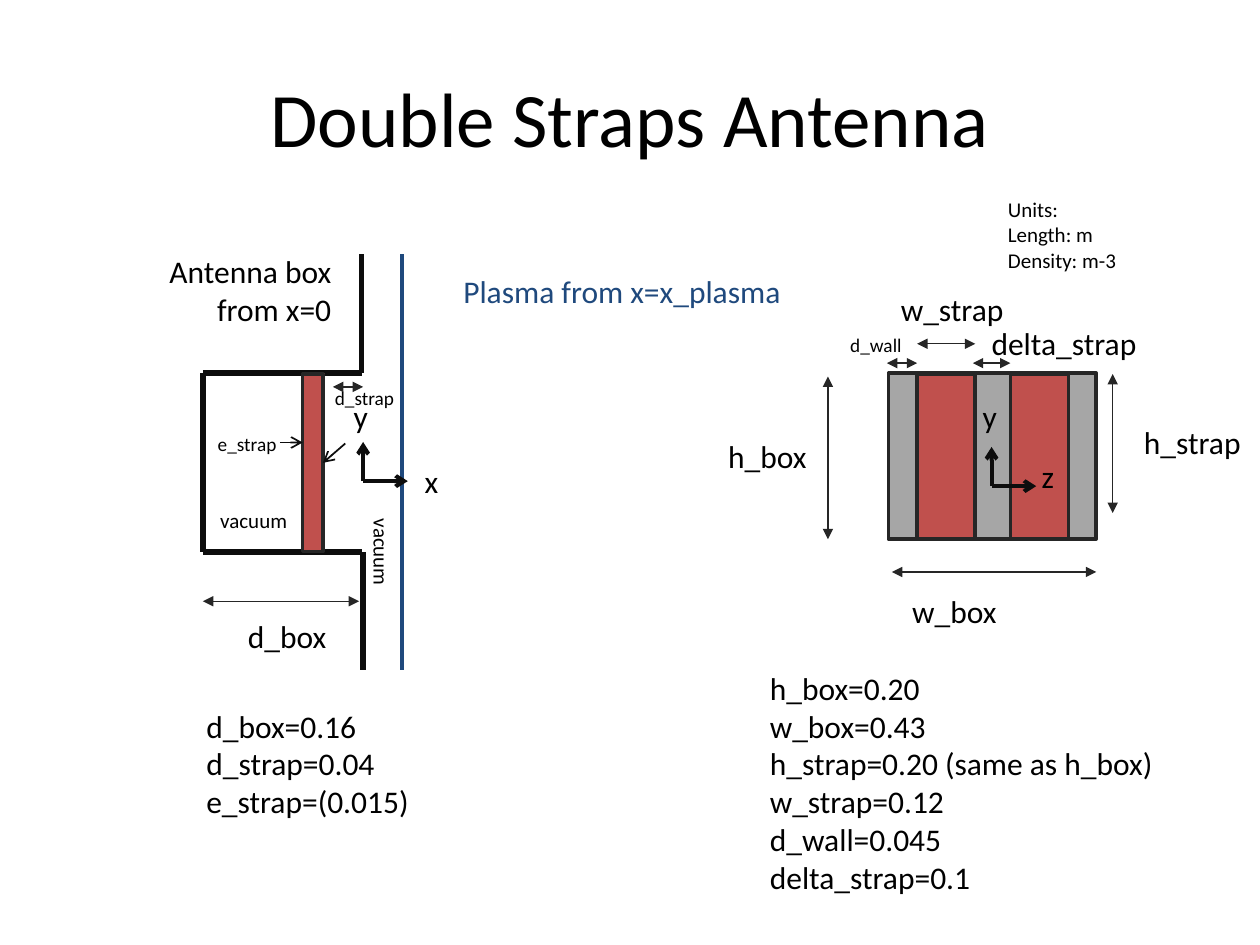
"""Build the double straps antenna slide with its side and front views."""
from typing import NamedTuple

import pptx
import pptx.dml.color
import pptx.enum.shapes
import pptx.enum.text
import pptx.oxml
import pptx.oxml.ns
import pptx.util
from pptx.util import Cm

FONT = "Calibri"
BLACK, INK, EDGE = "000000", "0D0D0D", "262626"
RED, GREY, BLUE = "C0504D", "A6A6A6", "1F497D"


class Block(NamedTuple):
    x: float
    y: float
    w: float
    h: float
    fill: str


class Line(NamedTuple):
    x1: float
    y1: float
    x2: float
    y2: float
    color: str = INK
    width: float = 3
    head: str = ""
    tail: str = ""


class Label(NamedTuple):
    text: str
    x: float
    y: float
    w: float
    h: float = 1.02
    size: float = 18
    color: str = BLACK
    align: str = "LEFT"
    wrap: bool = False
    rotation: float = 0


def rgb(value: str):
    return pptx.dml.color.RGBColor.from_string(value)


def write(tf, text: str, *, size: float = 18, color: str = BLACK, align: str = "LEFT"):
    tf.text = text
    for p in tf.paragraphs:
        p.alignment = getattr(pptx.enum.text.PP_ALIGN, align)
        for r in p.runs:
            r.font.name = FONT
            r.font.size = pptx.util.Pt(size)
            r.font.color.rgb = rgb(color)


def draw_block(s, b: Block):
    sp = s.shapes.add_shape(
        pptx.enum.shapes.MSO_SHAPE.RECTANGLE, Cm(b.x), Cm(b.y), Cm(b.w), Cm(b.h))
    sp.shadow.inherit = False
    sp.fill.solid()
    sp.fill.fore_color.rgb = rgb(b.fill)
    sp.line.color.rgb = rgb(EDGE)
    sp.line.width = pptx.util.Pt(2)
    return sp


def draw_line(s, line: Line):
    sp = s.shapes.add_connector(
        pptx.enum.shapes.MSO_CONNECTOR.STRAIGHT,
        Cm(line.x1), Cm(line.y1), Cm(line.x2), Cm(line.y2))
    sp.line.color.rgb = rgb(line.color)
    sp.line.width = pptx.util.Pt(line.width)
    spPr = sp._element.spPr
    ln = spPr.find(pptx.oxml.ns.qn("a:ln"))
    ns = pptx.oxml.ns.nsdecls("a")
    for tag, kind in (("headEnd", line.head), ("tailEnd", line.tail)):
        if kind:
            ln.append(pptx.oxml.parse_xml(f'<a:{tag} {ns} type="{kind}"/>'))
    spPr.append(pptx.oxml.parse_xml(f"<a:effectLst {ns}/>"))
    return sp


def draw_label(s, label: Label):
    sp = s.shapes.add_textbox(Cm(label.x), Cm(label.y), Cm(label.w), Cm(label.h))
    sp.rotation = label.rotation
    tf = sp.text_frame
    tf.word_wrap = label.wrap
    tf.auto_size = pptx.enum.text.MSO_AUTO_SIZE.SHAPE_TO_FIT_TEXT
    write(tf, label.text, size=label.size, color=label.color, align=label.align)


def dimension(x1: float, y1: float, x2: float, y2: float) -> Line:
    return Line(x1, y1, x2, y2, EDGE, 0.75, "triangle", "triangle")


def axes(x: float, y: float) -> list[Line]:
    ends = ((x + 0.9, y), (x, y - 0.79))
    return [Line(x, y, *end, width=2.25, tail="arrow") for end in ends]


def pointer(x1: float, y1: float, x2: float, y2: float) -> Line:
    return Line(x1, y1, x2, y2, width=1, tail="arrow")


FRONT_VIEW = [
    Block(17.91, 7.52, 4.19, 3.35, GREY),
    *(Block(x, 7.54, 1.17, 3.33, RED) for x in (18.49, 20.37)),
]
SIDE_STRAP = Block(6.1, 7.54, 0.41, 3.58, RED)

LINES = [
    Line(7.29, 5.13, 7.29, 7.52),
    Line(4.09, 7.52, 4.09, 11.13),
    Line(4.09, 7.52, 7.29, 7.52),
    Line(4.09, 11.13, 7.29, 11.13),
    Line(7.32, 11.13, 7.32, 13.51),
    Line(6.5, 7.52, 6.5, 10.31, RED),
    Line(8.1, 5.13, 8.1, 13.51, BLUE, 2.25),
    dimension(4.09, 12.12, 7.24, 12.12),
    dimension(6.71, 7.8, 7.32, 7.8),
    dimension(18.49, 6.93, 19.66, 6.93),
    dimension(17.98, 11.53, 22.1, 11.53),
    dimension(22.43, 10.34, 22.43, 7.54),
    dimension(16.69, 10.87, 16.69, 7.59),
    dimension(19.61, 7.32, 20.37, 7.32),
    dimension(17.88, 7.32, 18.49, 7.32),
    *axes(7.32, 9.7),
    *axes(19.99, 9.8),
]

LABELS = [
    Label("Plasma from x=x_plasma", 9.09, 5.36, 6.99, color=BLUE),
    Label("w_strap", 17.91, 5.72, 2.59),
    Label("z", 20.75, 9.09, 0.79),
    Label("y", 19.56, 7.87, 0.81),
    Label("h_strap", 22.81, 8.41, 2.49),
    Label("h_box", 14.43, 8.69, 2.11),
    Label("w_box", 18.14, 11.81, 2.24),
    Label("delta_strap", 19.74, 6.4, 3.45),
    Label("d_wall", 16.89, 6.6, 1.55, 0.74, 11),
    Label("h_box=0.20\nw_box=0.43\nh_strap=0.20 (same as h_box)\n"
          "w_strap=0.12\nd_wall=0.045\ndelta_strap=0.1", 15.27, 13.36, 8.31, 4.88),
    Label("Units:\nLength: m\nDensity: m-3", 20.07, 3.84, 4.65, 1.8, 12, wrap=True),
    Label("d_strap", 6.5, 7.67, 1.73, 0.74, 11),
    Label("vacuum", 4.19, 10.11, 1.88, 0.76, 12),
    Label("x", 8.31, 9.19, 0.79),
    Label("y", 6.88, 7.87, 0.81),
    Label("d_box", 4.75, 12.32, 2.11),
    Label("Antenna box\vfrom x=0", 3.12, 4.95, 3.81, 1.8, align="RIGHT"),
    Label("e_strap", 4.14, 8.59, 1.73, 0.74, 11),
    Label("d_box=0.16\nd_strap=0.04\ne_strap=(0.015)", 3.91, 14.12, 4.65, 2.57),
    Label("vacuum", 6.76, 10.77, 1.88, 0.76, 12, rotation=90),
]


def main():
    prs = pptx.Presentation()
    prs.slide_width, prs.slide_height = Cm(25.4), Cm(19.05)
    s = prs.slides.add_slide(prs.slide_layouts[5])

    title = s.shapes.title
    title.left, title.top = Cm(1.27), Cm(0.76)
    title.width, title.height = Cm(22.86), Cm(3.18)
    title.text_frame.vertical_anchor = pptx.enum.text.MSO_ANCHOR.MIDDLE
    write(title.text_frame, "Double Straps Antenna", size=44, align="CENTER")

    for block in FRONT_VIEW:
        draw_block(s, block)
    for line in LINES:
        draw_line(s, line)
    strap = draw_block(s, SIDE_STRAP)
    draw_line(s, pointer(5.64, 8.92, 6.1, 8.92))
    draw_line(s, pointer(6.96, 8.94, 6.51, 9.33)).end_connect(strap, 3)
    for label in LABELS:
        draw_label(s, label)

    prs.save("out.pptx")


if __name__ == "__main__":
    main()
